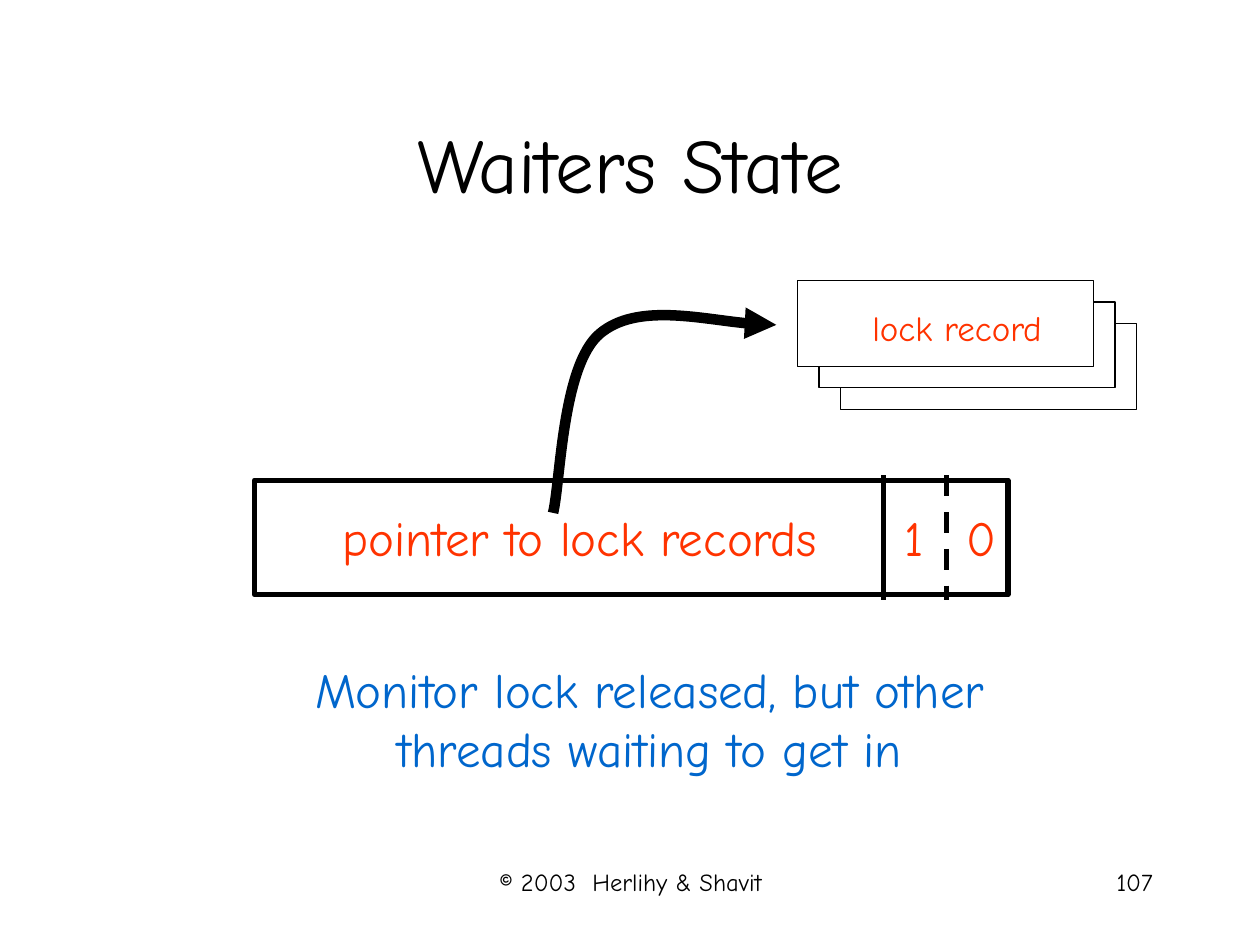
from dataclasses import dataclass

from lxml.etree import SubElement
from pptx import Presentation
from pptx.dml.color import RGBColor
from pptx.enum.dml import MSO_LINE_DASH_STYLE as Dash
from pptx.enum.shapes import MSO_CONNECTOR as Link, MSO_SHAPE as Kind
from pptx.enum.text import MSO_ANCHOR as Anchor, PP_ALIGN as Align
from pptx.oxml.ns import qn
from pptx.util import Cm, Pt

FONT = "Comic Neue"
BLACK, WHITE, RED, BLUE = "000000", "FFFFFF", "FF3300", "0066CC"


@dataclass
class Box:
    x: float
    y: float
    w: float
    h: float

    def cm(self) -> list:
        return [Cm(v) for v in (self.x, self.y, self.w, self.h)]


@dataclass
class Label:
    text: str
    box: Box
    size: int
    color: str
    align: Align = Align.CENTER
    wrap: bool = False
    anchor: Anchor = Anchor.TOP


def paint(target, color: str) -> None:
    target.rgb = RGBColor.from_string(color)


def ink(line, width: float) -> None:
    line.fill.solid()
    paint(line.color, BLACK)
    line.width = Pt(width)


def write(shapes, label: Label) -> None:
    frame = shapes.add_textbox(*label.box.cm()).text_frame
    frame.word_wrap = label.wrap
    frame.vertical_anchor = label.anchor
    frame.text = label.text
    for para in frame.paragraphs:
        para.alignment = label.align
        for run in para.runs:
            run.font.name, run.font.size = FONT, Pt(label.size)
            paint(run.font.color, label.color)


def frame_box(shapes, box: Box, width: float) -> None:
    rect = shapes.add_shape(Kind.RECTANGLE, *box.cm())
    rect.shadow.inherit = False
    rect.fill.solid()
    paint(rect.fill.fore_color, WHITE)
    ink(rect.line, width)


def divide(shapes, x: float, top: float, end: float, dash: Dash) -> None:
    rule = shapes.add_connector(Link.STRAIGHT, Cm(x), Cm(top), Cm(x), Cm(end))
    SubElement(rule._element.spPr, qn("a:effectLst"))
    ink(rule.line, 3)
    rule.line.dash_style = dash


def curve(shapes, points: list[tuple[float, float]], width: float) -> None:
    """Draw a Bezier arrow: a start, then two handles and an end per segment."""
    start, *rest = [(Cm(x), Cm(y)) for x, y in points]
    maker = shapes.build_freeform(*start)
    maker.add_line_segments(rest, close=False)
    arrow = maker.convert_to_shape()
    arrow.shadow.inherit = False
    arrow.fill.background()
    ink(arrow.line, width)
    trail = arrow._element.find(".//" + qn("a:path"))
    steps = trail.findall(qn("a:lnTo"))
    for i in range(0, len(steps), 3):
        bend = SubElement(trail, qn("a:cubicBezTo"))
        for step in steps[i:i + 3]:
            bend.append(step[0])
            trail.remove(step)
    SubElement(arrow.line._get_or_add_ln(), qn("a:tailEnd"), type="triangle")


WORD = Box(5.13, 9.68, 15.19, 2.31)
CARD = Box(16.08, 5.66, 5.97, 1.73)
STEP = 0.43
ROW = 10.11
FOOT = 17.35
RULES = [(19.08, Dash.DASH), (17.81, Dash.SOLID)]
PATH = [(11.15, 10.34), (11.3, 9.73), (11.33, 7.37), (12.09, 6.73),
        (12.83, 6.1), (14.91, 6.58), (15.65, 6.55)]

FIELDS = [
    Label("Waiters State", Box(1.91, 1.7, 21.59, 3.18), 44, BLACK,
          wrap=True, anchor=Anchor.MIDDLE),
    Label("Monitor lock released, but other\nthreads waiting to get in",
          Box(6.07, 13.18, 14.05, 2.64), 28, BLUE),
    Label("pointer to lock records", Box(6.43, ROW, 10.52, 1.45), 28, RED),
    Label("1", Box(17.98, ROW, 0.89, 1.45), 28, RED),
    Label("0", Box(19.23, ROW, 1.09, 1.45), 28, RED),
]
NOTES = [
    Label("lock record", Box(17.2, 6.05, 4.19, 1.12), 20, RED),
    Label("© 2003  Herlihy & Shavit", Box(8.69, FOOT, 8.05, 1.27), 14, BLACK,
          wrap=True),
    Label("107", Box(18.21, FOOT, 5.28, 1.27), 14, BLACK, Align.RIGHT, True),
]


def main() -> None:
    deck = Presentation()
    deck.slide_width, deck.slide_height = Cm(25.4), Cm(19.05)
    shapes = deck.slides.add_slide(deck.slide_layouts[6]).shapes

    frame_box(shapes, WORD, 3)
    for x, dash in RULES:
        divide(shapes, x, WORD.y - 0.1, WORD.y + WORD.h + 0.1, dash)
    for label in FIELDS:
        write(shapes, label)
    curve(shapes, PATH, 6)
    for i in (2, 1, 0):
        shift = i * STEP
        frame_box(shapes, Box(CARD.x + shift, CARD.y + shift, CARD.w, CARD.h),
                  0.75)
    for label in NOTES:
        write(shapes, label)

    deck.save("out.pptx")


if __name__ == "__main__":
    main()
